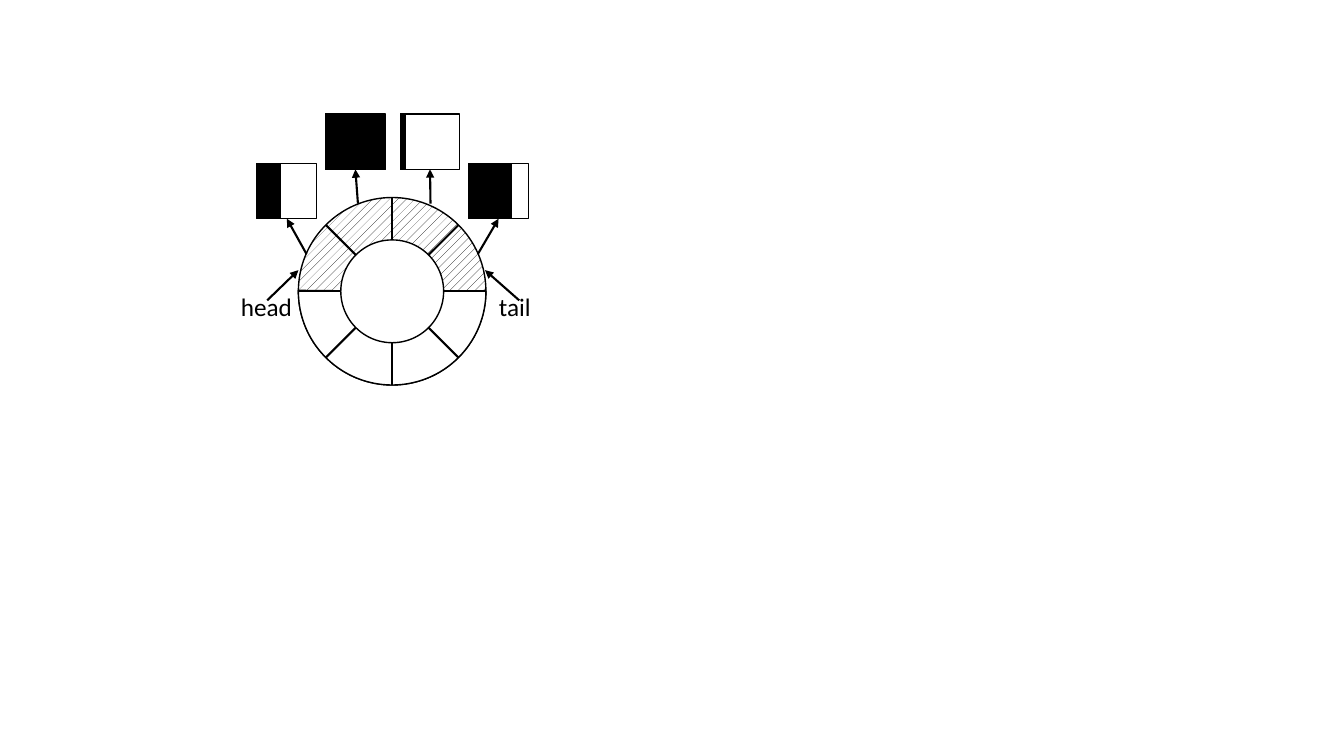
from dataclasses import dataclass
from math import cos, radians, sin

from lxml import etree
from pptx import Presentation
from pptx.dml.color import RGBColor
from pptx.enum.dml import MSO_PATTERN
from pptx.enum.shapes import MSO_CONNECTOR, MSO_SHAPE
from pptx.enum.text import MSO_AUTO_SIZE
from pptx.oxml.ns import qn
from pptx.util import Inches, Pt

STRAIGHT = MSO_CONNECTOR.STRAIGHT
OVAL, PIE, RECT = MSO_SHAPE.OVAL, MSO_SHAPE.PIE, MSO_SHAPE.RECTANGLE
DOTTED = MSO_PATTERN.PERCENT_20
FIT_TEXT = MSO_AUTO_SIZE.SHAPE_TO_FIT_TEXT
BOTTOM = 2


@dataclass(frozen=True)
class Theme:
    ink: RGBColor = RGBColor(0, 0, 0)
    paper: RGBColor = RGBColor(255, 255, 255)
    font: str = "Calibri"
    label_size: int = 18
    outline: float = 1
    stroke: float = 1.5


class Diagram:
    def __init__(self, slide, theme):
        self.shapes = slide.shapes
        self.theme = theme

    def shape(self, kind, left, top, width, height, color):
        item = self.shapes.add_shape(
            kind, Inches(left), Inches(top), Inches(width), Inches(height))
        item.shadow.inherit = False
        item.fill.solid()
        item.fill.fore_color.rgb = color
        item.line.color.rgb = self.theme.ink
        item.line.width = Pt(self.theme.outline)
        return item

    def disc(self, center, radius, kind=OVAL):
        x, y = center
        return self.shape(kind, x - radius, y - radius,
                          2 * radius, 2 * radius, self.theme.paper)

    def hatch(self, item):
        item.fill.patterned()
        item.fill.pattern = DOTTED
        item.fill.fore_color.rgb = self.theme.ink
        item.fill.back_color.rgb = self.theme.paper

    def line(self, start, end):
        item = self.shapes.add_connector(
            STRAIGHT, *(Inches(value) for value in (*start, *end)))
        item.line.color.rgb = self.theme.ink
        item.line.width = Pt(self.theme.stroke)
        etree.SubElement(item._element.spPr, qn("a:effectLst"))
        return item

    def arrow(self, start, end):
        item = self.line(start, end)
        etree.SubElement(item.line._get_or_add_ln(), qn("a:tailEnd"), type="triangle")
        return item

    def label(self, text, left, top, width, height):
        box = self.shapes.add_textbox(
            Inches(left), Inches(top), Inches(width), Inches(height))
        frame = box.text_frame
        frame.text = text
        frame.word_wrap = False
        frame.auto_size = FIT_TEXT
        font = frame.paragraphs[0].runs[0].font
        font.name = self.theme.font
        font.size = Pt(self.theme.label_size)
        font.color.rgb = self.theme.ink


def main():
    deck = Presentation()
    deck.slide_width, deck.slide_height = Inches(13.33), Inches(7.5)
    theme = Theme()
    diagram = Diagram(deck.slides.add_slide(deck.slide_layouts[6]), theme)

    # Ring buffer: used upper half, free lower half, hollow centre
    center, outer, inner = (3.89, 2.89), 0.93, 0.51
    diagram.hatch(diagram.disc(center, outer))
    free_half = diagram.disc(center, outer, PIE)
    free_half.adjustments[0] = 0
    free_half.adjustments[1] = 108.315
    diagram.disc(center, inner)

    # Eight slot dividers
    for angle in range(0, 360, 45):
        dx, dy = cos(radians(angle)), sin(radians(angle))
        rim, hub = ((center[0] + radius * dx, center[1] + radius * dy)
                    for radius in (outer, inner))
        diagram.line(rim, hub)

    # Data blocks with their filled part, and the slot that points to each
    block_width, block_height = 0.59, 0.55
    blocks = [
        (2.55, 1.62, 0.23, (3.04, 2.52)),
        (3.23, 1.13, 0.59, (3.55, 2.02)),
        (3.97, 1.13, 0.05, (4.27, 2.02)),
        (4.65, 1.62, 0.42, (4.74, 2.52)),
    ]
    for left, top, filled_width, slot in blocks:
        block = diagram.shape(RECT, left, top, block_width, block_height, theme.paper)
        diagram.shape(RECT, left, top, filled_width, block_height, theme.ink)
        pointer = diagram.arrow(slot, (left + block_width / 2, top + block_height))
        pointer.end_connect(block, BOTTOM)

    # Head and tail markers
    diagram.label("tail", 4.85, 2.84, 0.52, 0.4)
    diagram.label("head", 2.29, 2.84, 0.72, 0.4)
    diagram.arrow((2.65, 2.98), (2.96, 2.68))
    diagram.arrow((5.15, 2.98), (4.81, 2.68))

    deck.save("out.pptx")


if __name__ == "__main__":
    main()
